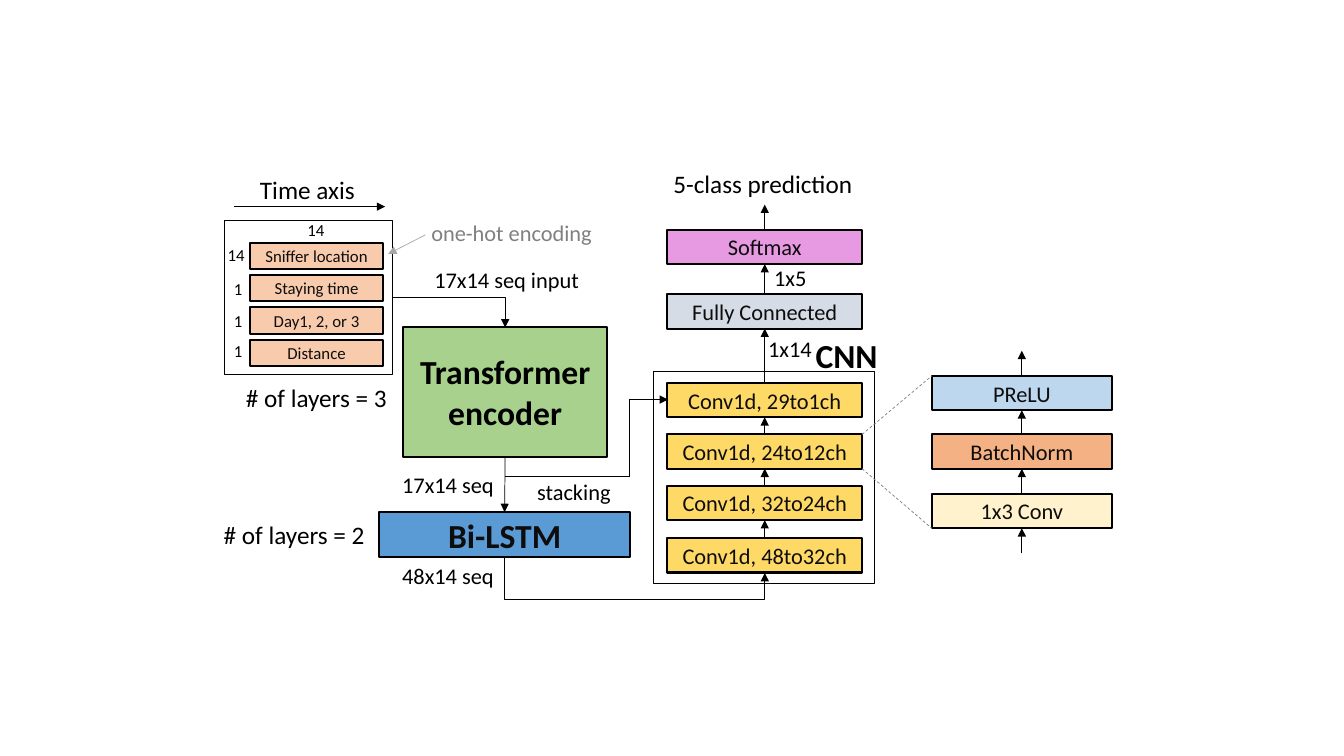
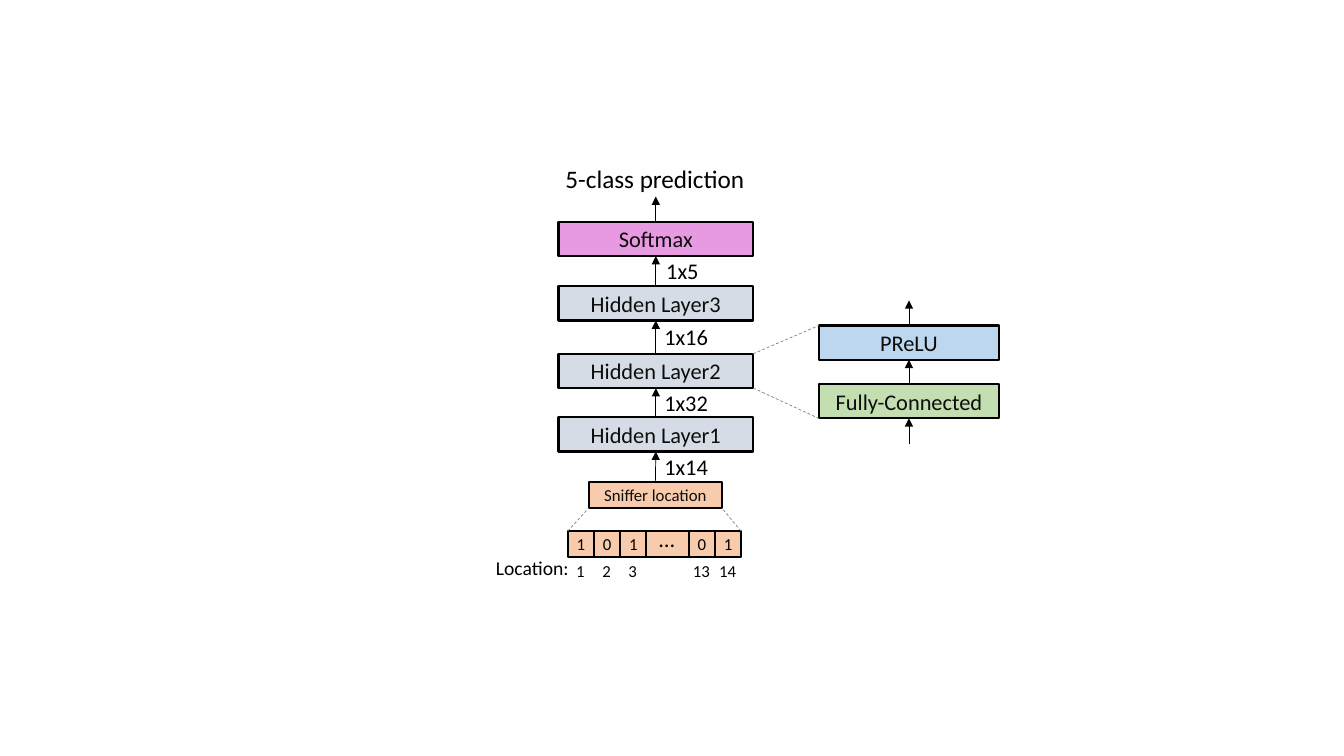
from dataclasses import dataclass
from itertools import accumulate, pairwise

from lxml import etree
from pptx import Presentation
from pptx.dml.color import RGBColor
from pptx.enum import dml, shapes, text
from pptx.oxml.ns import qn
from pptx.util import Inches, Pt


@dataclass(frozen=True)
class Theme:
    font: str = "Calibri"
    black: str = "000000"
    ink: str = "0D0D0D"
    grey: str = "808080"
    light_grey: str = "A6A6A6"
    green: str = "A9D18E"
    pale_green: str = "C3DEB0"
    blue: str = "5B9BD5"
    pale_blue: str = "BDD7EE"
    peach: str = "F8CBAD"
    orange: str = "F4B183"
    yellow: str = "FFD966"
    cream: str = "FFF2CC"
    slate: str = "D6DCE5"
    pink: str = "E799E1"
    tiny: int = 12
    small: int = 14
    body: int = 16
    label: int = 18
    title: int = 24
    thick: float = 1.5
    thin: float = 0.5
    hairline: float = 0.25


THEME = Theme()
LAYER = (1.93, 0.34)
DETAIL = (1.79, 0.34)
FEATURE = (1.32, 0.26)
STUB = 0.25
LABEL_HEIGHT = {12: 0.3, 14: 0.34, 16: 0.37, 18: 0.4, 24: 0.5}

# Blocks: text, top, fill, listed from top to bottom
FEATURES = [(name, 2.41 + 0.32 * row, THEME.peach) for row, name in enumerate(
    ["Sniffer location", "Staying time", "Day1, 2, or 3", "Distance"])]
CNN_LAYERS = [
    ("Softmax", 2.28, THEME.pink),
    ("Fully Connected", 2.92, THEME.slate),
    ("Conv1d, 29to1ch", 3.8, THEME.yellow),
    ("Conv1d, 24to12ch", 4.31, THEME.yellow),
    ("Conv1d, 32to24ch", 4.82, THEME.yellow),
    ("Conv1d, 48to32ch", 5.34, THEME.yellow),
]
CONV_PARTS = [
    ("PReLU", 3.73, THEME.pale_blue),
    ("BatchNorm", 4.31, THEME.orange),
    ("1x3 Conv", 4.9, THEME.cream),
]
DENSE_LAYERS = [
    ("Softmax", 2.2, THEME.pink),
    ("Hidden Layer3", 2.84, THEME.slate),
    ("Hidden Layer2", 3.51, THEME.slate),
    ("Hidden Layer1", 4.14, THEME.slate),
]
DENSE_PARTS = [
    ("PReLU", 3.23, THEME.pale_blue),
    ("Fully-Connected", 3.81, THEME.pale_green),
]

# Labels: text, left, top, width, size
MODEL_LABELS = [
    ("14", 2.16, 2.38, 0.37, THEME.tiny),
    ("1", 2.22, 2.72, 0.29, THEME.tiny),
    ("1", 2.22, 3.03, 0.29, THEME.tiny),
    ("1", 2.22, 3.33, 0.29, THEME.tiny),
    ("14", 2.95, 2.13, 0.37, THEME.tiny),
    ("17x14 seq input", 4.21, 2.59, 1.68, THEME.body),
    ("17x14 seq", 3.89, 4.62, 1.12, THEME.body),
    ("48x14 seq", 3.89, 5.53, 1.12, THEME.body),
    ("stacking", 5.23, 4.69, 0.94, THEME.body),
    ("1x14", 7.52, 3.28, 0.64, THEME.body),
    ("1x5", 7.58, 2.57, 0.53, THEME.body),
    ("# of layers = 2", 2.12, 5.1, 1.62, THEME.label),
    ("# of layers = 3", 2.34, 3.74, 1.62, THEME.label),
    ("Time axis", 2.48, 1.68, 1.15, THEME.label),
    ("5-class prediction", 6.58, 1.62, 2, THEME.label),
]
DENSE_LABELS = [
    ("1x5", 6.51, 2.5, 0.53, THEME.body),
    ("1x16", 6.49, 3.16, 0.64, THEME.body),
    ("1x32", 6.49, 3.81, 0.64, THEME.body),
    ("1x14", 6.49, 4.45, 0.64, THEME.body),
    ("5-class prediction", 5.51, 1.57, 2, THEME.label),
    ("Location:", 4.82, 5.47, 0.93, THEME.small),
]
# Cells of the location vector: value, position, width
LOCATION_CELLS = [("1", "1", 0.26), ("0", "2", 0.26), ("1", "3", 0.26),
                  ("…", "", 0.42), ("0", "13", 0.26), ("1", "14", 0.26)]


def rgb(value):
    return RGBColor.from_string(value)


def write(frame, words, size, colour, bold=False):
    span = frame.paragraphs[0].add_run()
    span.text = words
    span.font.name = THEME.font
    span.font.size = Pt(size)
    span.font.bold = bold
    span.font.color.rgb = rgb(colour)


def add_rect(page, left, top, size, fill=None, weight=THEME.thick):
    box = page.shapes.add_shape(shapes.MSO_SHAPE.RECTANGLE, Inches(left), Inches(top),
                                Inches(size[0]), Inches(size[1]))
    box.shadow.inherit = False
    if fill:
        box.fill.solid()
        box.fill.fore_color.rgb = rgb(fill)
    else:
        box.fill.background()
    box.line.color.rgb = rgb(THEME.black)
    box.line.width = Pt(weight)
    return box


def add_block(page, words, left, top, size, fill, points=THEME.body,
              colour=THEME.ink, bold=False):
    box = add_rect(page, left, top, size, fill)
    box.text_frame.word_wrap = True
    box.text_frame.vertical_anchor = text.MSO_ANCHOR.MIDDLE
    box.text_frame.paragraphs[0].alignment = text.PP_ALIGN.CENTER
    write(box.text_frame, words, points, colour, bold)
    return box


def add_label(page, words, left, top, width, points, colour=THEME.black, bold=False):
    box = page.shapes.add_textbox(Inches(left), Inches(top), Inches(width),
                                  Inches(LABEL_HEIGHT[points]))
    box.text_frame.word_wrap = False
    box.text_frame.auto_size = text.MSO_AUTO_SIZE.SHAPE_TO_FIT_TEXT
    write(box.text_frame, words, points, colour, bold)


def style_line(line, colour, weight, arrow, dashed):
    line.line.color.rgb = rgb(colour)
    line.line.width = Pt(weight)
    if dashed:
        line.line.dash_style = dml.MSO_LINE.DASH
    properties = line._element.spPr
    if arrow:
        etree.SubElement(properties.find(qn("a:ln")), qn("a:tailEnd"), type="triangle")
    etree.SubElement(properties, qn("a:effectLst"))


def link(page, start, end, colour=THEME.black, weight=THEME.thin, arrow=True,
         dashed=False, kind=shapes.MSO_CONNECTOR.STRAIGHT):
    """Join two ends, each a point in inches or a (shape, side) pair."""
    glued = [hasattr(stop[0], "shape_id") for stop in (start, end)]
    points = [(0, 0) if joined else (Inches(stop[0]), Inches(stop[1]))
              for stop, joined in zip((start, end), glued)]
    line = page.shapes.add_connector(kind, *points[0], *points[1])
    if glued[0]:
        line.begin_connect(*start)
    if glued[1]:
        line.end_connect(*end)
    style_line(line, colour, weight, arrow, dashed)
    return line


def elbow(page, start, end, preset, frame, turn=0, flips=(), bend=None):
    """Add a bent arrow whose unrotated frame is left, top, width, height."""
    line = link(page, start, end, kind=shapes.MSO_CONNECTOR.ELBOW)
    line.left, line.top, line.width, line.height = map(Inches, frame)
    xfrm = line._element.spPr.find(qn("a:xfrm"))
    for name in ("flipH", "flipV"):
        xfrm.attrib.pop(name, None)
    xfrm.set("rot", str(turn * 60000))
    for name in flips:
        xfrm.set(name, "1")
    geometry = line._element.spPr.find(qn("a:prstGeom"))
    geometry.set("prst", preset)
    if bend:
        guides = geometry.find(qn("a:avLst"))
        if guides is None:
            guides = etree.SubElement(geometry, qn("a:avLst"))
        etree.SubElement(guides, qn("a:gd"), name="adj1", fmla=f"val {round(bend * 100000)}")


def add_stack(page, left, blocks, size):
    """Stack blocks with arrows running up through them and out of the top."""
    boxes = [add_block(page, words, left, top, size, fill) for words, top, fill in blocks]
    for upper, lower in pairwise(boxes):
        link(page, (lower, 0), (upper, 2))
    middle, top = left + size[0] / 2, blocks[0][1]
    link(page, (boxes[0], 0), (middle, top - STUB))
    return boxes


def add_detail(page, left, blocks, source):
    """Add a stack that dashed lines show to be the inside of the source block."""
    boxes = add_stack(page, left, blocks, DETAIL)
    bottom = blocks[-1][1] + DETAIL[1]
    link(page, (left + DETAIL[0] / 2, bottom + STUB), (boxes[-1], 2))
    edge = (source.left + source.width) / Inches(1)
    upper = source.top / Inches(1)
    for y, target in ((upper, blocks[0][1]), (upper + LAYER[1], bottom)):
        link(page, (edge, y), (left, target), THEME.grey, arrow=False, dashed=True)


def build_model(page):
    encoder = add_block(page, "Transformer encoder", 4, 3.24, (2.02, 1.29), THEME.green,
                        THEME.title, THEME.black, True)
    lstm = add_block(page, "Bi-LSTM", 3.76, 5.08, (2.49, 0.45), THEME.blue,
                     THEME.title, bold=True)
    for words, top, fill in FEATURES:
        add_block(page, words, 2.48, top, FEATURE, fill, THEME.tiny)
    inputs = add_rect(page, 2.22, 2.18, (1.67, 1.53), weight=THEME.hairline)
    add_rect(page, 6.48, 3.68, (2.19, 2.11), weight=THEME.hairline)
    layers = add_stack(page, 6.62, CNN_LAYERS, LAYER)
    add_detail(page, 9.24, CONV_PARTS, layers[3])

    link(page, (encoder, 2), (lstm, 0))
    elbow(page, (inputs, 3), (encoder, 0), "bentConnector2", (3.89, 2.95, 1.12, 0.3))
    elbow(page, (lstm, 2), (layers[-1], 2), "bentConnector3", (6.22, 4.32, 0.15, 2.58),
          270, ["flipH"], 2.71)
    link(page, (5.01, 4.73), (6.25, 4.73), arrow=False)
    elbow(page, (6.24, 4.73), (layers[2], 1), "bentConnector2", (6.05, 4.16, 0.77, 0.38),
          90, ["flipH", "flipV"])
    link(page, (2.32, 2.05), (3.82, 2.05))
    link(page, (4.22, 2.33), (3.85, 2.52), THEME.light_grey)

    for label in MODEL_LABELS:
        add_label(page, *label)
    add_label(page, "CNN", 7.99, 3.27, 0.82, THEME.title, bold=True)
    add_label(page, "one-hot encoding", 4.18, 2.13, 1.87, THEME.body, THEME.grey)


def add_location_vector(page, left, top):
    edges = list(accumulate((width for *_, width in LOCATION_CELLS), initial=left))
    height = FEATURE[1]
    add_rect(page, left, top, (edges[-1] - left, height), THEME.peach)
    for x in edges[1:-1]:
        link(page, (x, top + height), (x, top), weight=THEME.thick, arrow=False)
    for (value, position, _), (start, end) in zip(LOCATION_CELLS, pairwise(edges)):
        middle = (start + end) / 2
        if not position:
            add_label(page, value, middle - 0.18, top - 0.11, 0.36, THEME.body)
            continue
        add_label(page, value, middle - 0.14, top - 0.02, 0.29, THEME.tiny)
        width = 0.29 if len(position) == 1 else 0.37
        add_label(page, position, middle - width / 2, top + 0.24, width, THEME.tiny)
    return edges[-1]


def build_dense(page):
    layers = add_stack(page, 5.54, DENSE_LAYERS, LAYER)
    add_detail(page, 8.12, DENSE_PARTS, layers[2])
    left, top, vector_left, vector_top = 5.84, 4.78, 5.63, 5.27
    sniffer = add_block(page, "Sniffer location", left, top, FEATURE, THEME.peach, THEME.tiny)
    link(page, (sniffer, 0), (layers[-1], 2))
    vector_right = add_location_vector(page, vector_left, vector_top)
    for x, target in ((vector_left, left), (vector_right, left + FEATURE[0])):
        link(page, (x, vector_top), (target, top + FEATURE[1]), THEME.grey,
             arrow=False, dashed=True)
    for label in DENSE_LABELS:
        add_label(page, *label)


def main():
    deck = Presentation()
    deck.slide_width, deck.slide_height = Inches(13.33), Inches(7.5)
    for build in (build_model, build_dense):
        build(deck.slides.add_slide(deck.slide_layouts[6]))
    deck.save("out.pptx")


if __name__ == "__main__":
    main()
